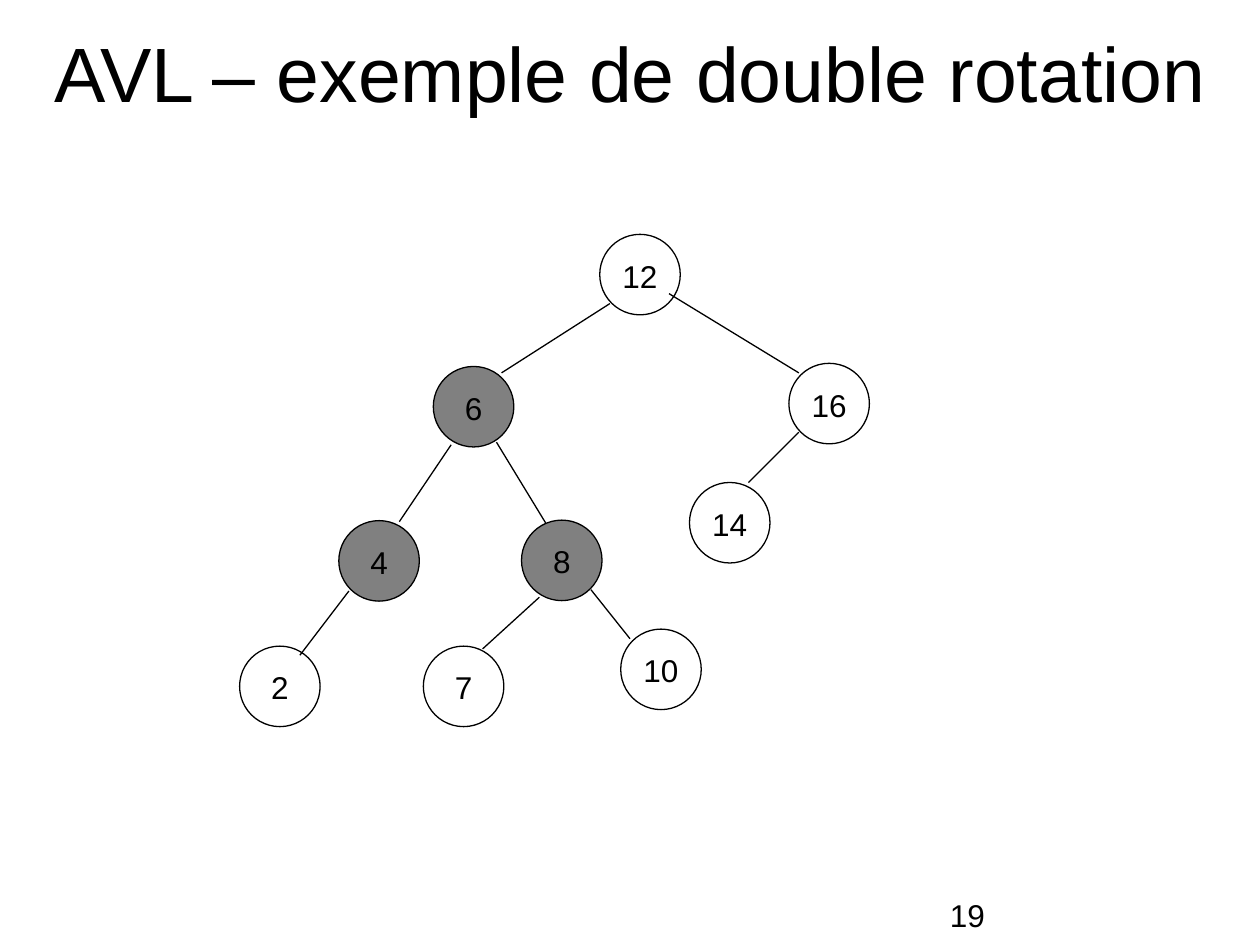
"""Builds the slide on double rotation in an AVL tree."""
from pptx import Presentation
from pptx.dml.color import RGBColor
from pptx.enum.shapes import MSO_CONNECTOR, MSO_SHAPE
from pptx.enum.text import MSO_ANCHOR, MSO_AUTO_SIZE, PP_ALIGN
from pptx.oxml.ns import qn
from pptx.util import Pt

THEME = {
    "ink": RGBColor(0, 0, 0),
    "rotated": RGBColor(128, 128, 128),
    "font": "Arial",
    "title_size": Pt(44),
    "text_size": Pt(18),
    "line_width": Pt(0.75),
}
NODE_SIZE = 46

nodes = [
    ("12", 342.7, 133.9, False),
    ("6", 247.6, 209.4, True),
    ("16", 450.8, 207.6, False),
    ("4", 193.6, 297.5, True),
    ("8", 298, 297.2, True),
    ("14", 394, 275.7, False),
    ("2", 136.9, 369.2, False),
    ("7", 241.9, 369.2, False),
    ("10", 354.7, 359.5, False),
]
edges = [
    (348.5, 173.5, 286.6, 213.1),
    (382.3, 167.8, 456.5, 213.1),
    (257.8, 254.2, 228.2, 298.1),
    (283.7, 252.7, 311.8, 298.8),
    (456.5, 247, 427.7, 275.8),
    (199.4, 337.7, 171.4, 374.4),
    (308.2, 341.3, 275.8, 370.8),
    (337.7, 337, 360, 365),
]


def write(box, text, size, align, **frame_format):
    frame = box.text_frame
    frame_values = {"word_wrap": True, "auto_size": MSO_AUTO_SIZE.NONE, **frame_format}
    for name, value in frame_values.items():
        setattr(frame, name, value)
    para = frame.paragraphs[0]
    para.alignment = align
    span = para.add_run()
    span.text = text
    for name, value in {"name": THEME["font"], "size": size}.items():
        setattr(span.font, name, value)
    span.font.color.rgb = THEME["ink"]


def outline(item):
    item.line.color.rgb = THEME["ink"]
    item.line.width = THEME["line_width"]


deck = Presentation()
deck.slide_width, deck.slide_height = Pt(720), Pt(540)
page = deck.slides.add_slide(deck.slide_layouts[5])

title = page.shapes.title
title_place = {"left": 14.4, "top": 9.4, "width": 692, "height": 62.6}
for name, value in title_place.items():
    setattr(title, name, Pt(value))
write(title, "AVL – exemple de double rotation", THEME["title_size"],
      PP_ALIGN.CENTER, vertical_anchor=MSO_ANCHOR.MIDDLE)

for key, left, top, rotated in nodes:
    node = page.shapes.add_shape(
        MSO_SHAPE.OVAL, Pt(left), Pt(top), Pt(NODE_SIZE), Pt(NODE_SIZE))
    node.shadow.inherit = False
    outline(node)
    if rotated:
        node.fill.solid()
        node.fill.fore_color.rgb = THEME["rotated"]
    else:
        node.fill.background()
    write(node, key, THEME["text_size"], PP_ALIGN.CENTER,
          vertical_anchor=MSO_ANCHOR.MIDDLE, margin_left=0, margin_right=0,
          margin_top=Pt(1), margin_bottom=0)

for ends in edges:
    edge = page.shapes.add_connector(MSO_CONNECTOR.STRAIGHT, *map(Pt, ends))
    outline(edge)
    properties = edge.element.spPr
    properties.append(properties.makeelement(qn("a:effectLst"), {}))

page_number = page.shapes.add_textbox(Pt(535.7), Pt(508.3), Pt(170), Pt(20.2))
write(page_number, "19", THEME["text_size"], PP_ALIGN.LEFT)

deck.save("out.pptx")
